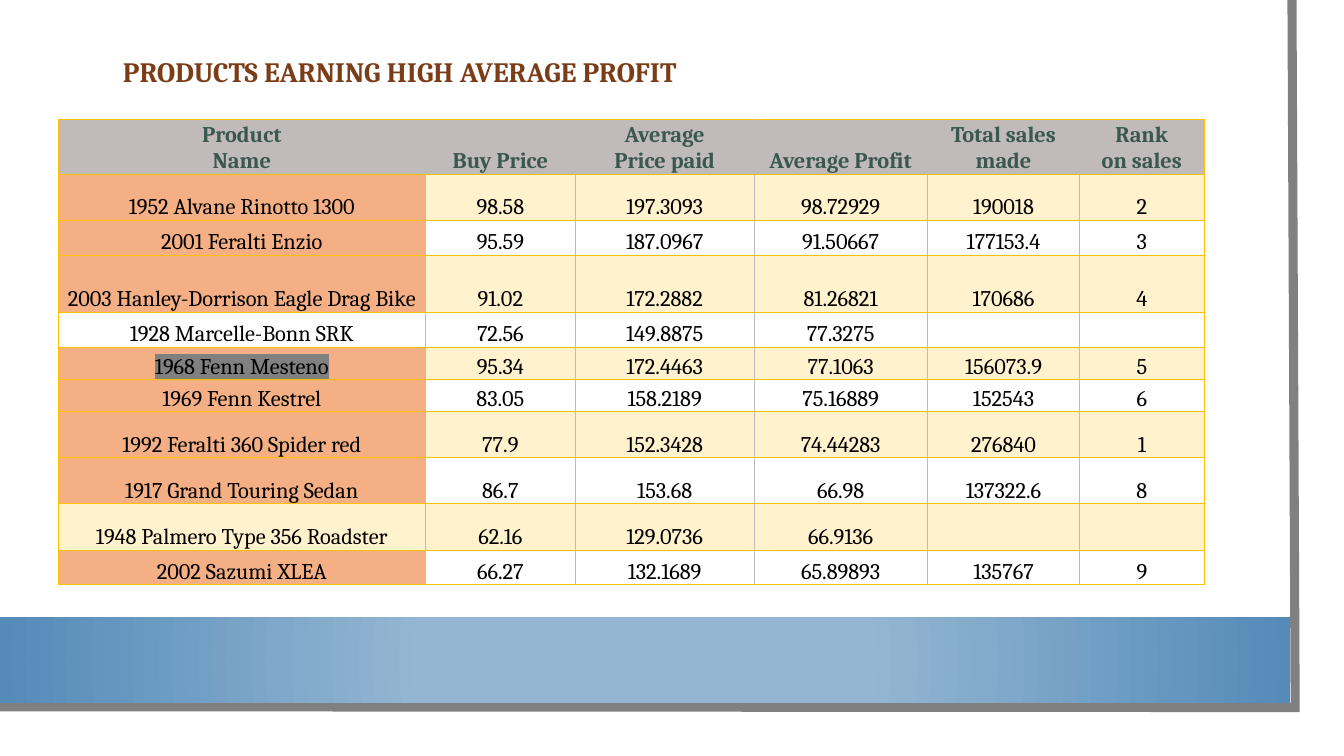
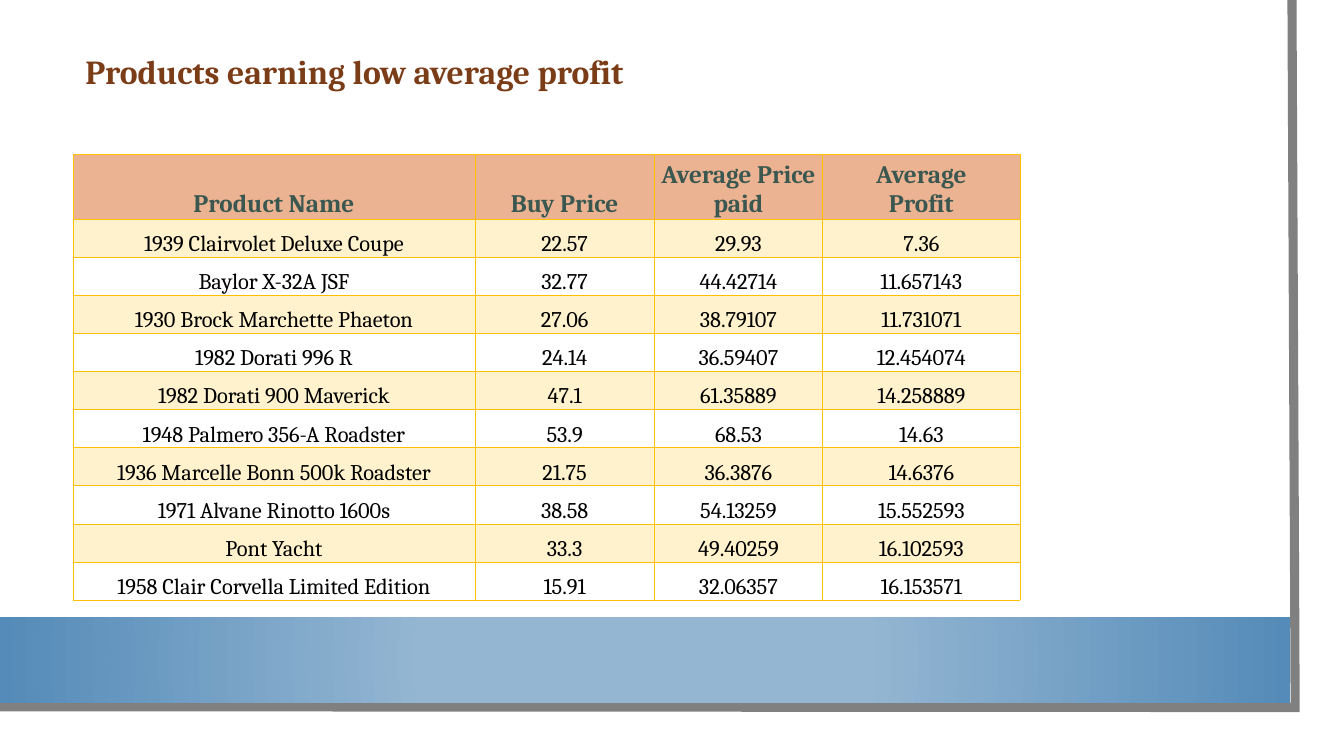
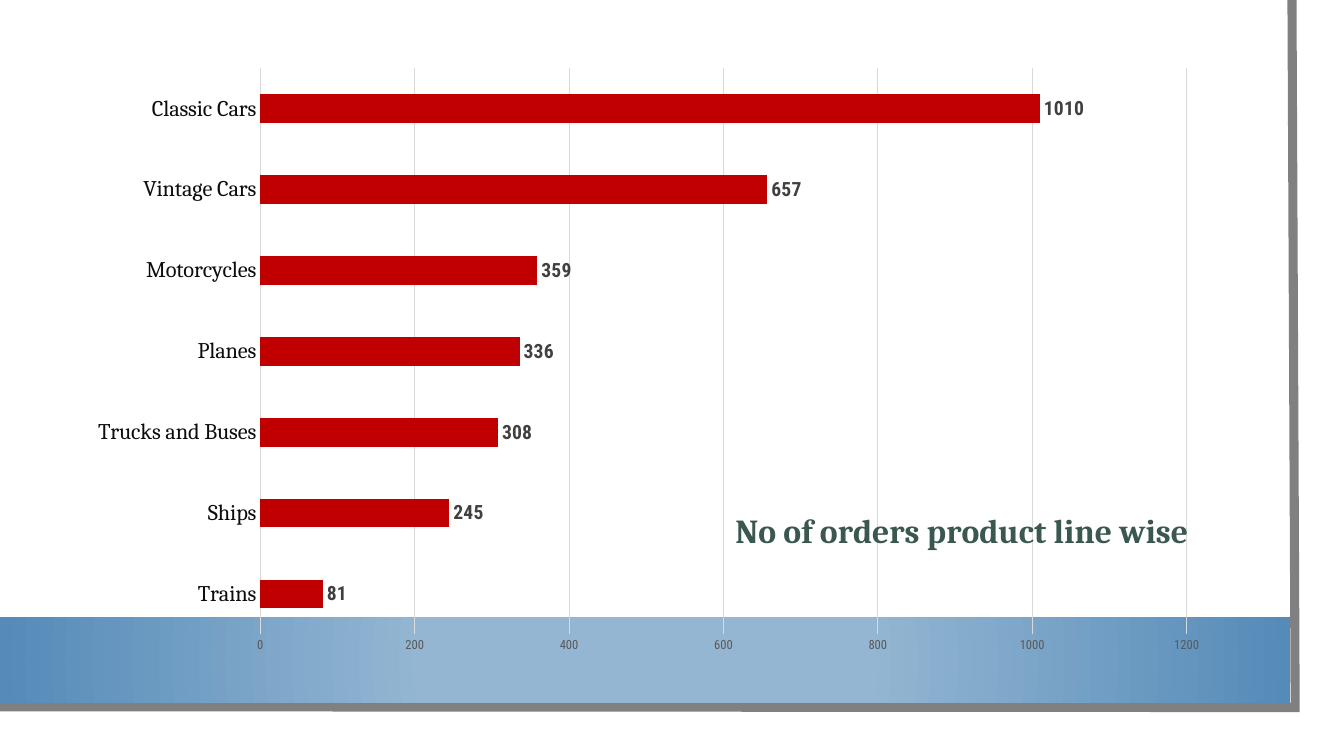
from lxml import etree
from pptx import Presentation
from pptx import util as u
from pptx.chart import data as chart_data
from pptx.dml.color import RGBColor
from pptx.enum import chart as ch, shapes, text
from pptx.oxml import parse_xml
from pptx.oxml.ns import nsdecls, qn

# Shared style
WHITE = RGBColor(0xFF, 0xFF, 0xFF)
BLACK = RGBColor(0, 0, 0)
FRAME = RGBColor(0x80, 0x80, 0x80)
BAND_LIGHT = RGBColor(0x94, 0xB6, 0xD2)
BAND_DARK = RGBColor(0x55, 0x8B, 0xB8)
BROWN = RGBColor(0x7B, 0x3D, 0x17)
GREEN = RGBColor(0x3A, 0x57, 0x50)
GOLD = RGBColor(0xFF, 0xC0, 0x00)
CREAM = RGBColor(0xFF, 0xF2, 0xCC)
ORANGE = RGBColor(0xF4, 0xB0, 0x84)
PEACH = RGBColor(0xEB, 0xB3, 0x91)
STONE = RGBColor(0xC0, 0xBA, 0xBA)
RED = RGBColor(0xC0, 0x00, 0x00)
GRID = RGBColor(0xD9, 0xD9, 0xD9)
AXIS_TEXT = RGBColor(0x59, 0x59, 0x59)
LABEL_TEXT = RGBColor(0x40, 0x40, 0x40)
CATEGORY_TEXT = RGBColor(0x0D, 0x0D, 0x0D)
SERIF, SANS = "Cambria", "Roboto Condensed"

# Content; lengths in centimetres
HIGH_PROFIT = {
    "title": "PRODUCTS EARNING HIGH AVERAGE PROFIT",
    "title_box": (2.85, 1.07, 15.21, 1.3),
    "title_size": 20,
    "corner": (1.47, 3.0),
    "widths": [9.25, 3.78, 4.5, 4.37, 3.84, 3.13],
    "heights": [1.36, 1.16, 0.88, 1.45, 0.88, 0.81, 0.81, 1.16, 1.16, 1.16, 0.88],
    "header_size": 16,
    "header_fill": STONE,
    "inner_vertical": STONE,
    "highlight": "1968 Fenn Mesteno",
    "rows": [
        ("Product\nName", "Buy Price", "Average\nPrice paid", "Average Profit",
         "Total sales made", "Rank\non sales"),
        ("1952 Alvane Rinotto 1300", "98.58", "197.3093", "98.72929", "190018", "2"),
        ("2001 Feralti Enzio", "95.59", "187.0967", "91.50667", "177153.4", "3"),
        ("2003 Hanley-Dorrison Eagle Drag Bike", "91.02", "172.2882", "81.26821", "170686", "4"),
        ("1928 Marcelle-Bonn SRK", "72.56", "149.8875", "77.3275", "", ""),
        ("1968 Fenn Mesteno", "95.34", "172.4463", "77.1063", "156073.9", "5"),
        ("1969 Fenn Kestrel", "83.05", "158.2189", "75.16889", "152543", "6"),
        ("1992 Feralti 360 Spider red", "77.9", "152.3428", "74.44283", "276840", "1"),
        ("1917 Grand Touring Sedan", "86.7", "153.68", "66.98", "137322.6", "8"),
        ("1948 Palmero Type 356 Roadster", "62.16", "129.0736", "66.9136", "", ""),
        ("2002 Sazumi XLEA", "66.27", "132.1689", "65.89893", "135767", "9"),
    ],
}
LOW_PROFIT = {
    "title": "Products earning low average profit",
    "title_box": (1.9, 0.69, 28.88, 1.98),
    "title_size": 24,
    "corner": (1.84, 3.89),
    "widths": [10.13, 4.52, 4.24, 4.98],
    "heights": [1.63] + [0.96] * 10,
    "header_size": 18,
    "header_fill": PEACH,
    "inner_vertical": GOLD,
    "highlight": None,
    "rows": [
        ("Product Name", "Buy Price", "Average Price\npaid", "Average\nProfit"),
        ("1939 Clairvolet Deluxe Coupe", "22.57", "29.93", "7.36"),
        ("Baylor X-32A JSF", "32.77", "44.42714", "11.657143"),
        ("1930 Brock Marchette Phaeton", "27.06", "38.79107", "11.731071"),
        ("1982 Dorati 996 R", "24.14", "36.59407", "12.454074"),
        ("1982 Dorati 900 Maverick", "47.1", "61.35889", "14.258889"),
        ("1948 Palmero 356-A Roadster", "53.9", "68.53", "14.63"),
        ("1936 Marcelle Bonn 500k Roadster", "21.75", "36.3876", "14.6376"),
        ("1971 Alvane Rinotto 1600s", "38.58", "54.13259", "15.552593"),
        ("Pont Yacht", "33.3", "49.40259", "16.102593"),
        ("1958 Clair Corvella Limited Edition", "15.91", "32.06357", "16.153571"),
    ],
}
ORDERS_TITLE = "No of orders product line wise"
ORDERS = [("Trains", 81), ("Ships", 245), ("Trucks and Buses", 308), ("Planes", 336),
          ("Motorcycles", 359), ("Vintage Cars", 657), ("Classic Cars", 1010)]


def cm(*lengths):
    return [u.Cm(length) for length in lengths]


def style(font, size, color, bold=False, name=SERIF):
    font.name, font.size, font.bold = name, u.Pt(size), bold
    font.color.rgb = color


def new_slide(prs):
    """Blank slide with the white sheet, grey frame and blue band."""
    slide = prs.slides.add_slide(prs.slide_layouts[6])
    rect = shapes.MSO_SHAPE.RECTANGLE
    sheet = slide.shapes.add_shape(rect, *cm(0, 0, 33.27, 18.47))
    sheet.fill.solid()
    sheet.fill.fore_color.rgb = WHITE

    pen = slide.shapes.build_freeform(*cm(32.56, 0))
    pen.add_line_segments([cm(32.64, 17.83), cm(-0.08, 17.81)], close=False)
    frame = pen.convert_to_shape()
    frame.fill.background()

    band = slide.shapes.add_shape(rect, *cm(0, 15.55, 32.51, 2.16))
    gradient = parse_xml(
        f'<a:gradFill {nsdecls("a")} rotWithShape="1"><a:gsLst>'
        f'<a:gs pos="34000"><a:srgbClr val="{BAND_LIGHT}"/></a:gs>'
        f'<a:gs pos="100000"><a:srgbClr val="{BAND_DARK}"/></a:gs></a:gsLst>'
        '<a:path path="circle"><a:fillToRect l="50000" t="50000" r="50000" b="50000"/>'
        '</a:path></a:gradFill>')
    band._element.spPr.find(qn("a:prstGeom")).addnext(gradient)

    for part in (sheet, frame, band):
        part.shadow.inherit = False
        part.line.fill.background()
    frame.line.color.rgb = FRAME
    frame.line.width = u.Pt(6.5)
    corner = etree.SubElement(frame._element.spPr.find(qn("a:ln")), qn("a:miter"))
    corner.set("lim", "800000")
    return slide


def add_title(slide, content):
    frame = slide.shapes.add_textbox(*cm(*content["title_box"])).text_frame
    frame.word_wrap = True
    frame.vertical_anchor = text.MSO_ANCHOR.MIDDLE
    frame.text = content["title"]
    title = frame.paragraphs[0]
    title.line_spacing = 1.2
    style(title.runs[0].font, content["title_size"], BROWN, bold=True)


def set_borders(cell, colors):
    """Draw thin borders; colors maps each side (L, R, T, B) to a colour."""
    for side, color in colors.items():
        cell._tc.get_or_add_tcPr().append(parse_xml(
            f'<a:ln{side} {nsdecls("a")} w="6350"><a:solidFill>'
            f'<a:srgbClr val="{color}"/></a:solidFill></a:ln{side}>'))


def highlight(run):
    mark = etree.Element(qn("a:highlight"))
    etree.SubElement(mark, qn("a:srgbClr")).set("val", str(FRAME))
    run._r.rPr.find(qn("a:latin")).addprevious(mark)


def cell_fill(content, row, column):
    if row == 0:
        return content["header_fill"]
    ranked = len(content["widths"]) == 6 and content["rows"][row][-1]
    if column == 0 and ranked:
        return ORANGE
    return CREAM if row % 2 else None


def add_products(slide, content):
    widths, heights, rows = content["widths"], content["heights"], content["rows"]
    last = len(widths) - 1
    table = slide.shapes.add_table(len(rows), len(widths), *cm(
        *content["corner"], sum(widths), sum(heights))).table
    for column, width in zip(table.columns, widths):
        column.width = u.Cm(width)
    for table_row, height in zip(table.rows, heights):
        table_row.height = u.Cm(height)

    for r, values in enumerate(rows):
        for c, value in enumerate(values):
            cell = table.cell(r, c)
            inner = content["inner_vertical"]
            set_borders(cell, {"L": inner if c else GOLD,
                               "R": inner if c < last else GOLD,
                               "T": GOLD, "B": GOLD})
            fill = cell_fill(content, r, c)
            if fill is None:
                cell.fill.background()
            else:
                cell.fill.solid()
                cell.fill.fore_color.rgb = fill
            cell.margin_left = cell.margin_right = cell.margin_top = u.Cm(0.03)
            cell.margin_bottom = 0
            cell.vertical_anchor = text.MSO_ANCHOR.BOTTOM
            if not value:
                continue
            cell.text_frame.text = value
            for paragraph in cell.text_frame.paragraphs:
                paragraph.alignment = text.PP_ALIGN.CENTER
                run = paragraph.runs[0]
                if r == 0:
                    style(run.font, content["header_size"], GREEN, bold=True)
                else:
                    style(run.font, 16, BLACK)
                if value == content["highlight"]:
                    highlight(run)


def manual_layout(inner=False, **places):
    target = '<c:layoutTarget val="inner"/>' if inner else ""
    modes = "".join(f'<c:{key}Mode val="edge"/>' for key in "xy")
    values = "".join(f'<c:{key} val="{value}"/>' for key, value in places.items())
    return parse_xml(f'<c:layout {nsdecls("c")}><c:manualLayout>{target}{modes}{values}'
                     '</c:manualLayout></c:layout>')


def add_orders(slide):
    data = chart_data.CategoryChartData()
    data.categories = [name for name, _ in ORDERS]
    data.add_series("Series 1", [count for _, count in ORDERS])
    chart = slide.shapes.add_chart(ch.XL_CHART_TYPE.BAR_CLUSTERED,
                                   *cm(1.95, -0.54, 28.82, 17.4), data).chart
    chart.has_legend = False
    style(chart.font, 10, BLACK, name=SANS)

    # Title and plot placement
    title = chart.chart_title
    title.text_frame.text = ORDERS_TITLE
    style(title.text_frame.paragraphs[0].runs[0].font, 24, GREEN, bold=True)
    title.include_in_layout = False
    for old in title._element.findall(qn("c:layout")):
        title._element.remove(old)
    title._element.find(qn("c:tx")).addnext(manual_layout(x=0.57, y=0.76))
    plot_area = chart._chartSpace.chart.plotArea
    for old in plot_area.findall(qn("c:layout")):
        plot_area.remove(old)
    plot_area.insert(0, manual_layout(inner=True, x=0.16, y=0.13, w=0.81, h=0.82))

    # Bars and labels
    plot = chart.plots[0]
    plot.gap_width = 182
    plot.vary_by_categories = False
    bars = plot.series[0]
    bars.format.fill.solid()
    bars.format.fill.fore_color.rgb = RED
    labels = bars.data_labels
    labels.show_value = True
    labels.position = ch.XL_LABEL_POSITION.OUTSIDE_END
    style(labels.font, 14, LABEL_TEXT, bold=True, name=SANS)

    # Axes
    lines, counts = chart.category_axis, chart.value_axis
    for axis in (lines, counts):
        axis.major_tick_mark = axis.minor_tick_mark = ch.XL_TICK_MARK.NONE
    style(lines.tick_labels.font, 16, CATEGORY_TEXT)
    style(counts.tick_labels.font, 9, AXIS_TEXT, name=SANS)
    counts.minimum_scale, counts.maximum_scale, counts.major_unit = 0, 1200, 200
    counts.format.line.fill.background()
    for line in (lines.format.line, counts.major_gridlines.format.line):
        line.color.rgb = GRID
        line.width = u.Pt(0.75)


def main():
    prs = Presentation()
    prs.slide_width, prs.slide_height = cm(33.87, 19.05)
    for content in (HIGH_PROFIT, LOW_PROFIT):
        slide = new_slide(prs)
        add_title(slide, content)
        add_products(slide, content)
    add_orders(new_slide(prs))
    prs.save("out.pptx")


if __name__ == "__main__":
    main()
